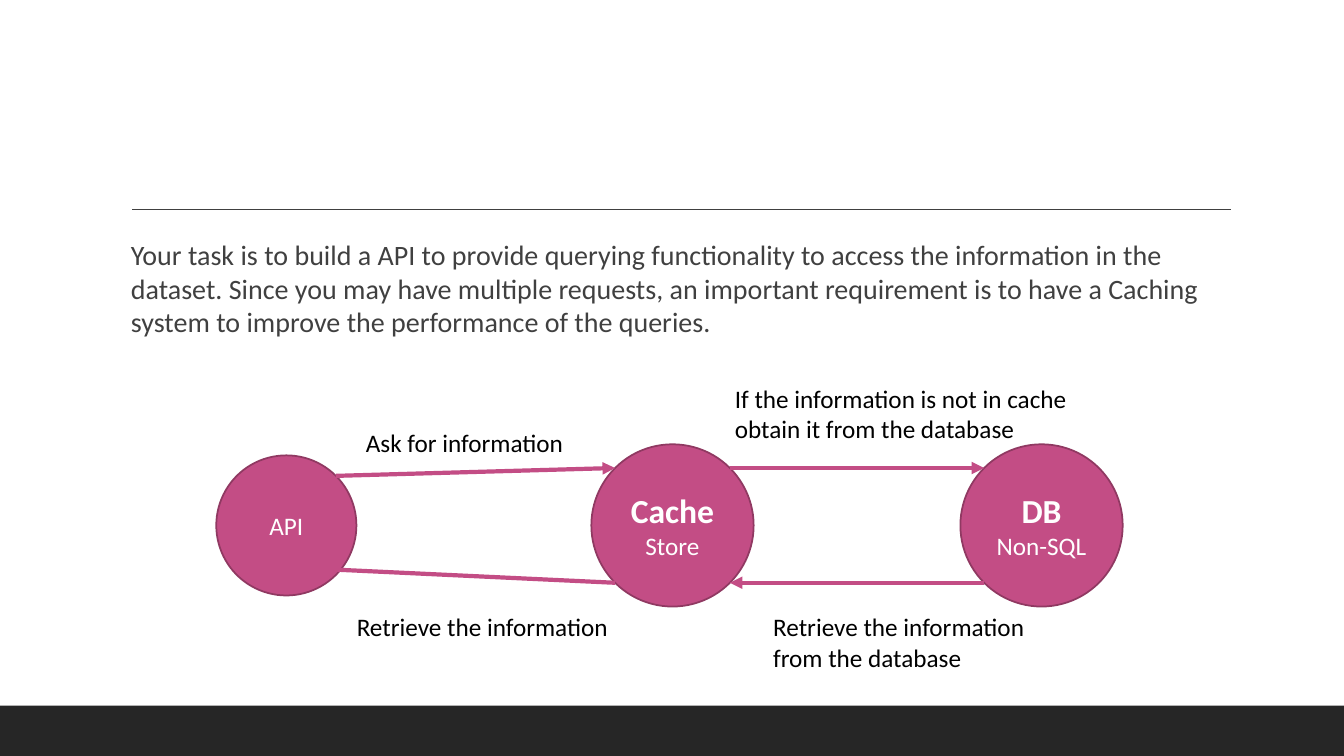
from math import sqrt
from lxml.etree import SubElement
from pptx import Presentation
from pptx.dml.color import RGBColor
from pptx.enum.shapes import MSO_CONNECTOR, MSO_SHAPE
from pptx.enum.text import MSO_ANCHOR, PP_ALIGN
from pptx.oxml.ns import qn
from pptx.util import Inches, Pt

THEME = dict(font="Calibri", pink="C34D85", edge="903962", dark="262626",
             grey="404040", white="FFFFFF", black="000000",
             head=24, body=20, label=18, rule=1, rim=1.25, arrow=3)
WIDE, HIGH = 13.33, 7.5
MID = HIGH * 0.695

TASK = ("Your task is to build a API to provide querying functionality to access "
        "the information in the dataset. Since you may have multiple requests, an "
        "important requirement is to have a Caching system to improve the "
        "performance of the queries.")
NODES = {
    "api": (2.84, 1.39, [("API", "label", False)]),
    "cache": (6.67, 1.61, [("Cache", "head", True), ("Store", "label", False)]),
    "db": (10.33, 1.61, [("DB", "head", True), ("Non-SQL", "label", False)]),
}
FLOWS = [("api", "cache", -1, (0, 0)), ("cache", "db", -1, (0, 0)),
         ("db", "cache", 1, (0, 0)), ("cache", "api", 1, (-0.16, -0.06))]
LABELS = [
    (3.53, 4.19, 2.18, ["Ask for information"]),
    (3.44, 6.02, 2.72, ["Retrieve the information"]),
    (7.19, 3.75, 3.53, ["If the information is not in cache",
                        "obtain it from the database"]),
    (7.57, 6.02, 2.78, ["Retrieve the information", "from the database"]),
]

deck = Presentation()
deck.slide_width, deck.slide_height = Inches(WIDE), Inches(HIGH)
slide = deck.slides.add_slide(deck.slide_layouts[6])
shapes = slide.shapes


def color(name):
    return RGBColor.from_string(THEME[name])


def write(frame, rows, ink, align=PP_ALIGN.LEFT):
    frame.text = "\n".join(row[0] for row in rows)
    for par, (_, size, bold) in zip(frame.paragraphs, rows):
        par.alignment = align
        font = par.runs[0].font
        font.name, font.size, font.bold = THEME["font"], Pt(THEME[size]), bold
        font.color.rgb = color(ink)


def solid(kind, box, fill, edge=None):
    shape = shapes.add_shape(kind, *map(Inches, box))
    shape.shadow.inherit = False
    shape.fill.solid()
    shape.fill.fore_color.rgb = color(fill)
    if edge:
        shape.line.color.rgb = color(edge)
        shape.line.width = Pt(THEME["rim"])
    else:
        shape.line.fill.background()
    return shape


def link(start, end, ink, width, head=False):
    line = shapes.add_connector(MSO_CONNECTOR.STRAIGHT, *map(Inches, start + end))
    line.line.color.rgb = color(ink)
    line.line.width = Pt(THEME[width])
    if head:
        SubElement(line.line._get_or_add_ln(), qn("a:tailEnd"), type="triangle")
    SubElement(line._element.spPr, qn("a:effectLst"))


def note(box, rows, ink, wrap):
    frame = shapes.add_textbox(*map(Inches, box)).text_frame
    frame.word_wrap = wrap
    write(frame, rows, ink)
    return frame


def port(name, side, row):
    mid, size, _ = NODES[name]
    reach = size / 2 / sqrt(2)
    return mid + side * reach, MID + row * reach


solid(MSO_SHAPE.RECTANGLE, (0, 7, WIDE, 0.5), "dark")
link((1.31, 2.08), (12.21, 2.08), "grey", "rule")
body = note((1.2, 2.31, 11, 1.44), [(TASK, "body", False)], "grey", True)
body.margin_left, body.margin_right = Inches(0.1), 0

for mid, size, rows in NODES.values():
    ball = solid(MSO_SHAPE.OVAL, (mid - size / 2, MID - size / 2, size, size),
                 "pink", "edge")
    ball.text_frame.vertical_anchor = MSO_ANCHOR.MIDDLE
    write(ball.text_frame, rows, "white", PP_ALIGN.CENTER)

for start, end, row, (dx, dy) in FLOWS:
    side = 1 if NODES[start][0] < NODES[end][0] else -1
    x, y = port(end, -side, row)
    link(port(start, side, row), (x + dx, y + dy), "pink", "arrow", True)

for x, y, width, lines in LABELS:
    note((x, y, width, 0.1 + 0.3 * len(lines)),
         [(line, "label", False) for line in lines], "black", False)

deck.save("out.pptx")
